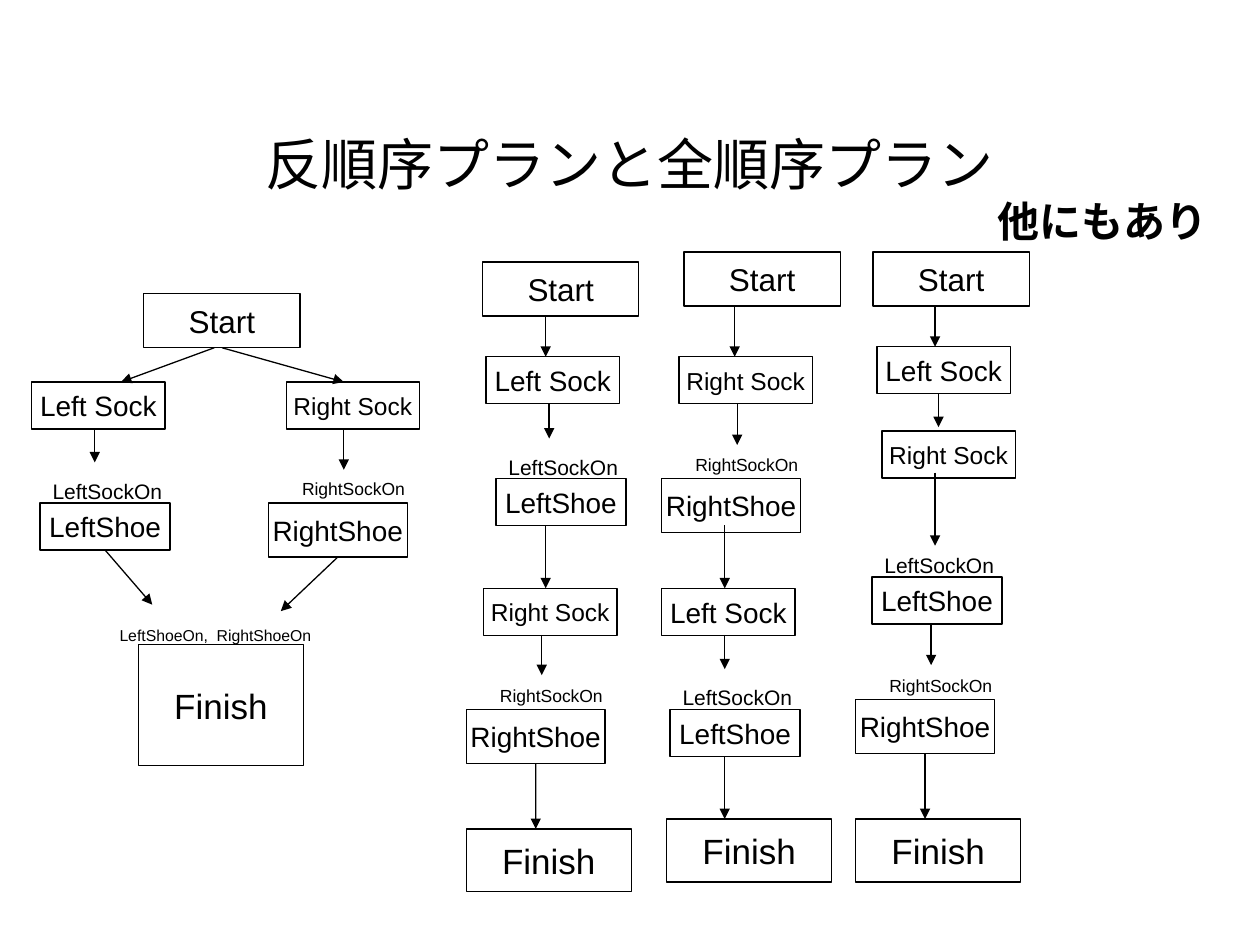
from lxml.etree import SubElement
from pptx import Presentation
from pptx.dml.color import RGBColor
from pptx.enum.shapes import MSO_CONNECTOR, MSO_SHAPE
from pptx.enum.text import MSO_ANCHOR, PP_ALIGN
from pptx.oxml.ns import qn
from pptx.util import Cm, Pt

COLORS = {"ink": "000000", "paper": "FFFFFF"}
FONT = "Arial"
BOTTOM = 2

# All lengths are in cm. Step: width, height, text size
STEPS = {
    "Start": (3.15, 1.09, 18),
    "Left Sock": (2.69, 0.95, 16),
    "Right Sock": (2.69, 0.95, 14),
    "LeftShoe": (2.62, 0.95, 16),
    "RightShoe": (2.8, 1.09, 16),
    "Finish": (3.33, 1.27, 20),
}
# Condition above a step: text, offset from the step, width, height, text size
NEEDS = {
    "LeftShoe": ("LeftSockOn", 0, -0.62, 2.72, 0.76, 12),
    "RightShoe": ("RightSockOn", 0.43, -0.62, 2.57, 0.69, 10),
}
GOAL = ("LeftShoeOn,  RightShoeOn", -0.63, -0.51, 4.37, 0.64, 9)
GOAL_TALL = 2.44

# Boxes: step, left, top. Arrows: x1, y1, x2, y2, step it is joined to
PARTIAL = {
    "boxes": [
        ("Start", 2.9, 5.92), ("Left Sock", 0.64, 7.7),
        ("Right Sock", 5.77, 7.7), ("LeftShoe", 0.81, 10.14),
        ("RightShoe", 5.41, 10.14), ("Finish", 2.79, 13),
    ],
    "arrows": [
        (4.32, 7.01, 2.44, 7.7, None), (4.42, 7.01, 6.93, 7.7, "Start"),
        (1.91, 8.64, 1.91, 9.32, None), (6.93, 8.64, 6.93, 9.47, None),
        (2.16, 11.1, 3.07, 12.19, "LeftShoe"),
        (6.76, 11.23, 5.66, 12.32, "RightShoe"),
    ],
}
# Total orders run straight down. Arrows: x, y1, y2, step it is joined to
TOTAL = [
    {
        "boxes": [
            ("Start", 9.73, 5.28), ("Left Sock", 9.8, 7.19),
            ("LeftShoe", 10, 9.65), ("Right Sock", 9.75, 11.86),
            ("RightShoe", 9.4, 14.3), ("Finish", 9.4, 16.71),
        ],
        "arrows": [
            (11, 6.35, 7.19, None), (11.07, 8.15, 8.84, None),
            (11, 10.59, 11.86, None), (10.92, 12.8, 13.61, None),
            (10.8, 15.44, 16.71, "RightShoe"),
        ],
    },
    {
        "boxes": [
            ("Start", 13.79, 5.08), ("Right Sock", 13.69, 7.19),
            ("RightShoe", 13.34, 9.65), ("Left Sock", 13.34, 11.86),
            ("LeftShoe", 13.51, 14.3), ("Finish", 13.44, 16.51),
        ],
        "arrows": [
            (14.81, 6.15, 7.19, None), (14.86, 8.15, 8.97, None),
            (14.61, 10.59, 11.86, None), (14.61, 12.8, 13.49, None),
            (14.61, 15.24, 16.51, None),
        ],
    },
    {
        "boxes": [
            ("Start", 17.6, 5.08), ("Left Sock", 17.68, 6.99),
            ("Right Sock", 17.78, 8.69), ("LeftShoe", 17.58, 11.63),
            ("RightShoe", 17.25, 14.1), ("Finish", 17.25, 16.51),
        ],
        "arrows": [
            (18.85, 6.15, 6.99, None), (18.92, 7.95, 8.61, None),
            (18.85, 9.53, 11, None), (18.77, 12.6, 13.41, None),
            (18.65, 15.24, 16.51, "RightShoe"),
        ],
    },
]


def color(name):
    return RGBColor.from_string(COLORS[name])


def write(shape, text, size, align=PP_ALIGN.LEFT, anchor=MSO_ANCHOR.TOP,
          bold=False, wrap=False):
    frame = shape.text_frame
    frame.word_wrap = wrap
    frame.vertical_anchor = anchor
    para = frame.paragraphs[0]
    para.alignment = align
    run = para.add_run()
    run.text = text
    font = run.font
    font.name, font.size, font.bold = FONT, Pt(size), bold
    font.color.rgb = color("ink")


def add_text(slide, place, text, size, **style):
    box = slide.shapes.add_textbox(*map(Cm, place))
    write(box, text, size, **style)


def add_box(slide, step, left, top, high=None):
    wide, tall, size = STEPS[step]
    box = slide.shapes.add_shape(
        MSO_SHAPE.RECTANGLE, Cm(left), Cm(top), Cm(wide), Cm(high or tall))
    box.shadow.inherit = False
    box.fill.solid()
    box.fill.fore_color.rgb = color("paper")
    box.line.color.rgb = color("ink")
    box.line.width = Pt(0.75)
    write(box, step, size, PP_ALIGN.CENTER, MSO_ANCHOR.MIDDLE)
    return box


def add_arrow(slide, ends, source):
    line = slide.shapes.add_connector(MSO_CONNECTOR.STRAIGHT, *map(Cm, ends))
    line.line.color.rgb = color("ink")
    line.line.width = Pt(0.75)
    props = line.line._get_or_add_ln()
    SubElement(props, qn("a:tailEnd"), type="triangle")
    SubElement(props.getparent(), qn("a:effectLst"))
    if source is not None:
        line.begin_connect(source, BOTTOM)


def add_plan(slide, boxes, arrows, needs, high=None):
    """Draw one plan; high is the height of its Finish box."""
    made = {}
    for step, left, top in boxes:
        made[step] = add_box(slide, step, left, top,
                             high if step == "Finish" else None)
        if step in needs:
            text, dx, dy, wide, tall, size = needs[step]
            add_text(slide, (left + dx, top + dy, wide, tall), text, size)
    for *ends, source in arrows:
        add_arrow(slide, ends, made.get(source))


def main():
    deck = Presentation()
    deck.slide_width, deck.slide_height = Cm(25.4), Cm(19.05)
    slide = deck.slides.add_slide(deck.slide_layouts[6])
    add_text(slide, (1.9, 1.7, 21.6, 3.18), "反順序プランと全順序プラン", 32,
             align=PP_ALIGN.CENTER, anchor=MSO_ANCHOR.MIDDLE, wrap=True)
    add_plan(slide, PARTIAL["boxes"], PARTIAL["arrows"],
             {**NEEDS, "Finish": GOAL}, GOAL_TALL)
    for plan in TOTAL:
        arrows = [(x, y1, x, y2, source)
                  for x, y1, y2, source in plan["arrows"]]
        add_plan(slide, plan["boxes"], arrows, NEEDS)
    add_text(slide, (19.86, 3.81, 5.2, 1.27), "他にもあり", 24,
             bold=True, wrap=True)
    deck.save("out.pptx")


if __name__ == "__main__":
    main()
